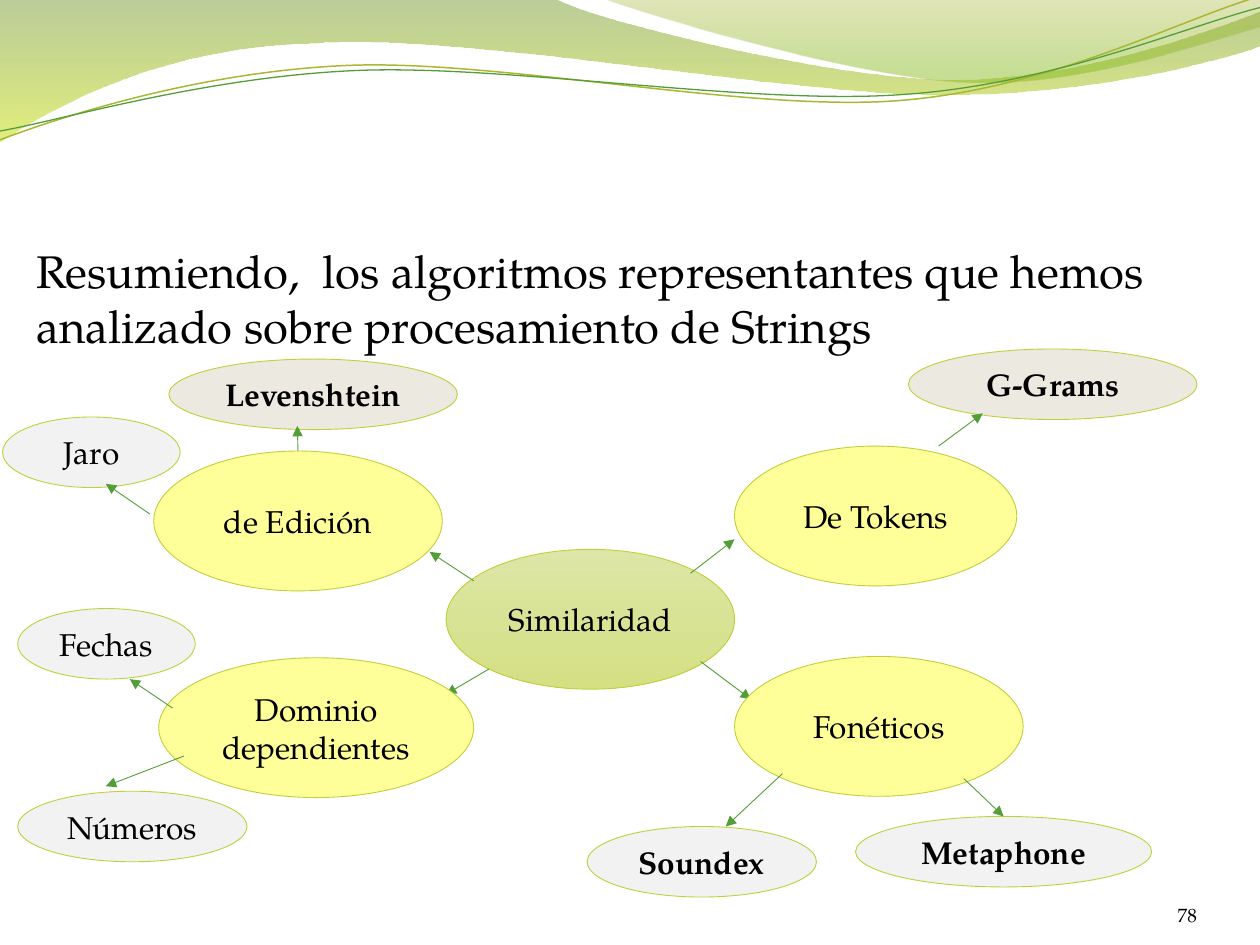
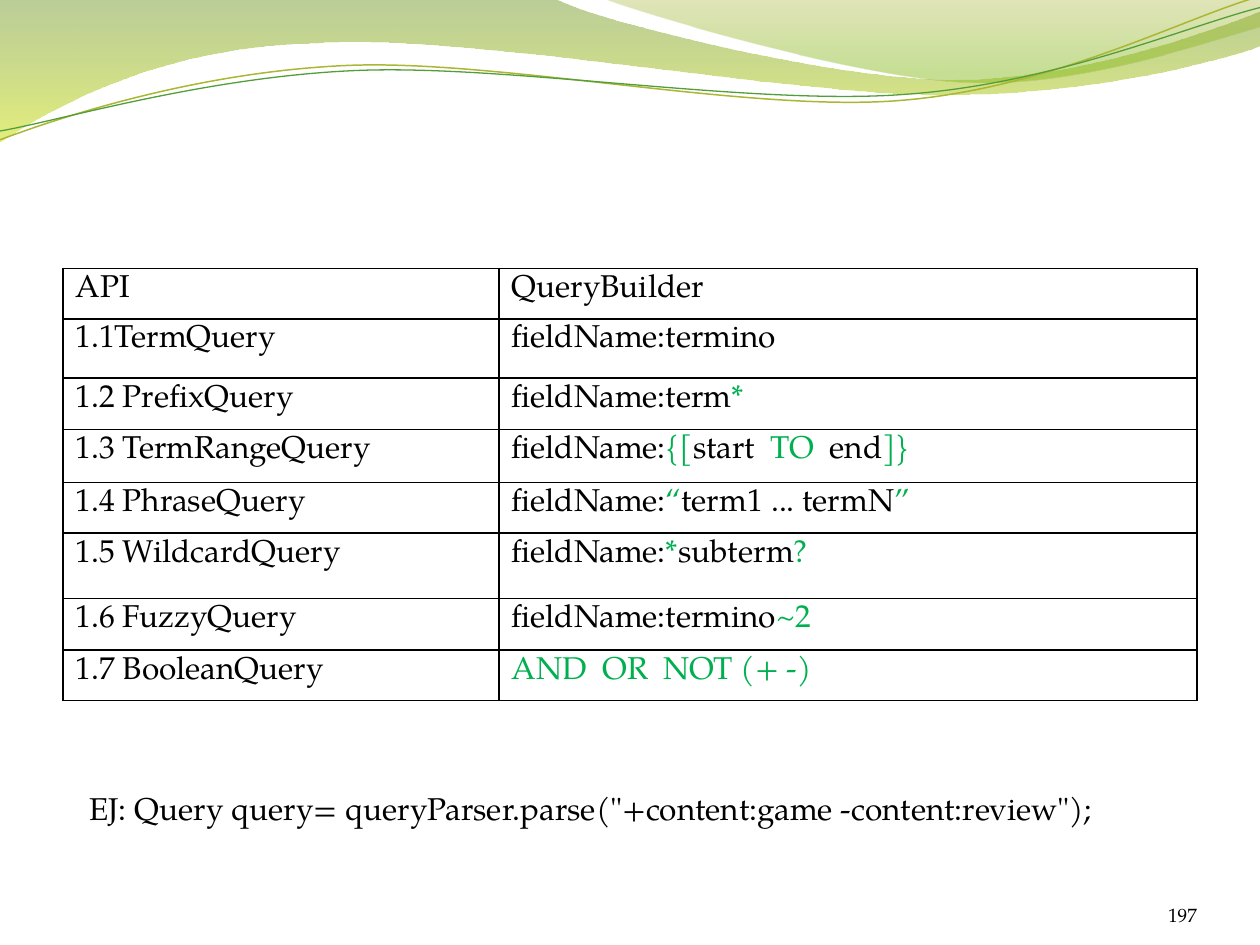
from dataclasses import dataclass
from typing import Optional

from lxml.etree import SubElement
from pptx import Presentation
from pptx.dml.color import RGBColor
from pptx.enum.shapes import MSO_CONNECTOR, MSO_SHAPE
from pptx.enum.text import MSO_ANCHOR, PP_ALIGN
from pptx.oxml.ns import qn
from pptx.util import Inches, Pt

FONT = "TeX Gyre Pagella"
BLACK = "000000"
OPERATOR_GREEN = "00B050"
ARROW_GREEN = "549E39"
OUTLINE = "C0CF3A"
GREY = "F2F2F2"
SAND = "ECE9E0"
YELLOW = "FFFF99"
TOP = 0


@dataclass(frozen=True)
class Stop:
    position: float
    color: str
    opacity: int = 100


@dataclass(frozen=True)
class Wave:
    """Each step holds one point (a line) or three points (a Bezier curve)."""
    start: tuple
    steps: tuple
    stops: tuple = ()
    line: str = ""
    weight: float = 0


@dataclass(frozen=True)
class Node:
    label: str
    left: float
    top: float
    width: float
    height: float
    fill: str
    bold: bool = False


@dataclass(frozen=True)
class Arrow:
    start: tuple
    end: tuple
    from_top_of: Optional[str] = None
    to_top_of: Optional[str] = None


WAVES = (
    Wave((0, 0), (
        (4.4, -0.01), (4.75, 0.17, 6.63, 0.63, 7.58, 0.63),
        (8.53, 0.63, 9.58, 0.26, 10, 0.09), (10.01, 0.36),
        (9.83, 0.44, 8.69, 0.76, 7.46, 0.75),
        (6.22, 0.75, 3.81, 0.28, 2.57, 0.34),
        (1.29, 0.36, 0.46, 0.83, -0.01, 1.13), (0, 0)),
        stops=(Stop(0, "69921C", 45), Stop(1, "CCE10F", 55))),
    Wave((4.79, -0.01), (
        (5.09, 0.11, 6.82, 0.62, 7.68, 0.65),
        (8.55, 0.69, 9.61, 0.32, 10, 0.21), (10, 0), (4.79, -0.01)),
        stops=(Stop(0, "9BAA1A", 30), Stop(0.8, "81BA16", 45))),
    Wave((0, 1.11), (
        (0.48, 0.93, 1.57, 0.57, 2.76, 0.52),
        (3.95, 0.47, 5.92, 0.89, 7.12, 0.8),
        (8.33, 0.71, 9.38, 0.15, 9.97, -0.02)), line="A9B733", weight=0.85),
    Wave((0, 1.04), (
        (0.47, 0.96, 1.63, 0.61, 2.83, 0.56),
        (4.02, 0.51, 5.97, 0.84, 7.17, 0.75),
        (8.36, 0.67, 9.41, 0.21, 10, 0.06)), line=ARROW_GREEN, weight=0.75),
)

CENTER = Node("Similaridad", 3.54, 4.36, 2.29, 1.11, "")
CENTER_STOPS = (Stop(0, "DDE6A6"), Stop(1, "D4E084"))
NODES = (
    Node("de Edición", 1.22, 3.58, 2.29, 1.11, YELLOW),
    Node("De Tokens", 5.83, 3.54, 2.24, 1.11, YELLOW),
    Node("Dominio dependientes", 1.26, 5.22, 2.5, 1.11, YELLOW),
    Node("Fonéticos", 5.83, 5.21, 2.29, 1.11, YELLOW),
    Node("Jaro", 0.02, 3.31, 1.41, 0.56, GREY),
    Node("Levenshtein", 1.34, 2.85, 2.29, 0.56, SAND, True),
    Node("G-Grams", 7.21, 2.77, 2.29, 0.56, SAND, True),
    Node("Fechas", 0.14, 4.83, 1.41, 0.56, GREY),
    Node("Números", 0.14, 6.28, 1.82, 0.56, GREY),
    Node("Soundex", 4.66, 6.56, 1.82, 0.56, GREY, True),
    Node("Metaphone", 6.79, 6.48, 2.35, 0.56, GREY, True),
)
CENTER_ARROWS = (
    Arrow((3.76, 4.61), (3.41, 4.38)),
    Arrow((5.48, 4.55), (5.83, 4.28)),
    Arrow((3.88, 5.31), (3.54, 5.51)),
    Arrow((5.56, 5.25), (5.96, 5.55)),
)
BRANCH_ARROWS = (
    Arrow((1.19, 4.08), (0.84, 3.84)),
    Arrow((2.37, 3.58), (2.36, 3.38), from_top_of="de Edición"),
    Arrow((1.37, 5.62), (1.03, 5.39)),
    Arrow((1.46, 6), (0.84, 6.24)),
    Arrow((6.21, 6.14), (5.76, 6.56)),
    Arrow((7.65, 6.18), (7.97, 6.48), to_top_of="Metaphone"),
    Arrow((7.45, 3.54), (7.8, 3.28)),
)

# Syntax pieces alternate between plain text and green operators.
QUERIES = (
    ("API", ("QueryBuilder",), 0.4),
    ("1.1TermQuery", ("fieldName:termino",), 0.47),
    ("1.2 PrefixQuery", ("fieldName:term", "*"), 0.41),
    ("1.3 TermRangeQuery",
     ("fieldName:", "{[", "start  ", "TO", "  end", "]}"), 0.42),
    ("1.4 PhraseQuery", ("fieldName:", "“", "term1 ... termN", "”"), 0.4),
    ("1.5 WildcardQuery", ("fieldName:", "*", "subterm", "?"), 0.52),
    ("1.6 FuzzyQuery", ("fieldName:termino", "~2"), 0.41),
    ("1.7 BooleanQuery", ("", "AND  OR  NOT (+ -)"), 0.4),
)
COLUMN_WIDTHS = (3.46, 5.54)


def rgb(color: str) -> RGBColor:
    return RGBColor.from_string(color)


def add_span(para, text: str, size: float, color: str = BLACK, bold: bool = False) -> None:
    span = para.add_run()
    span.text = text
    span.font.name = FONT
    span.font.size = Pt(size)
    span.font.bold = bold
    span.font.color.rgb = rgb(color)


def add_text(page, text: str, left: float, top: float, width: float,
             height: float, size: float):
    box = page.shapes.add_textbox(Inches(left), Inches(top), Inches(width), Inches(height))
    box.text_frame.word_wrap = True
    add_span(box.text_frame.paragraphs[0], text, size)
    return box.text_frame


def set_margins(frame, margin: float) -> None:
    frame.margin_left = frame.margin_right = Inches(margin)
    frame.margin_top = frame.margin_bottom = Inches(margin)


def fill_gradient(shape, stops: tuple) -> None:
    """Fill from top to bottom with two stops."""
    shape.fill.gradient()
    shape.fill.gradient_angle = 270
    for gradient_stop, stop in zip(shape.fill.gradient_stops, stops):
        gradient_stop.position = stop.position
        gradient_stop.color.rgb = rgb(stop.color)
    colors = shape._element.spPr.iter(qn("a:srgbClr"))
    for color, stop in zip(list(colors), stops):
        if stop.opacity < 100:
            SubElement(color, qn("a:alpha"), val=str(stop.opacity * 1000))


def bend_curves(shape, steps: tuple) -> None:
    """Turn the three line segments of each curved step into one Bezier curve."""
    segments = iter(list(shape._element.spPr.iter(qn("a:lnTo"))))
    for step in steps:
        first = next(segments)
        if len(step) == 2:
            continue
        first.tag = qn("a:cubicBezTo")
        for _ in range(2):
            segment = next(segments)
            segment.getparent().remove(segment)
            first.append(segment[0])


def add_wave(page, wave: Wave) -> None:
    points = [(Inches(x), Inches(y)) for step in wave.steps
              for x, y in zip(step[::2], step[1::2])]
    builder = page.shapes.build_freeform(*[Inches(value) for value in wave.start])
    builder.add_line_segments(points, close=bool(wave.stops))
    shape = builder.convert_to_shape()
    bend_curves(shape, wave.steps)
    shape.shadow.inherit = False
    if wave.stops:
        fill_gradient(shape, wave.stops)
        shape.line.fill.background()
    else:
        shape.fill.background()
        shape.line.color.rgb = rgb(wave.line)
        shape.line.width = Pt(wave.weight)


def add_page(deck, number: int):
    page = deck.slides.add_slide(deck.slide_layouts[6])
    for wave in WAVES:
        add_wave(page, wave)
    frame = add_text(page, str(number), 8.67, 6.95, 0.83, 0.4, 11)
    set_margins(frame, 0)
    frame.vertical_anchor = MSO_ANCHOR.BOTTOM
    frame.paragraphs[0].alignment = PP_ALIGN.RIGHT
    return page


def add_node(page, node: Node, stops: tuple = ()):
    shape = page.shapes.add_shape(MSO_SHAPE.OVAL, Inches(node.left), Inches(node.top),
                                  Inches(node.width), Inches(node.height))
    shape.shadow.inherit = False
    if stops:
        fill_gradient(shape, stops)
    else:
        shape.fill.solid()
        shape.fill.fore_color.rgb = rgb(node.fill)
    shape.line.color.rgb = rgb(OUTLINE)
    shape.line.width = Pt(0.5)
    frame = shape.text_frame
    frame.word_wrap = True
    frame.vertical_anchor = MSO_ANCHOR.MIDDLE
    frame.paragraphs[0].alignment = PP_ALIGN.CENTER
    add_span(frame.paragraphs[0], node.label, 18, bold=node.bold)
    return shape


def add_arrow(page, arrow: Arrow, ovals: dict) -> None:
    ends = [Inches(value) for value in arrow.start + arrow.end]
    connector = page.shapes.add_connector(MSO_CONNECTOR.STRAIGHT, *ends)
    if arrow.from_top_of:
        connector.begin_connect(ovals[arrow.from_top_of], TOP)
    if arrow.to_top_of:
        connector.end_connect(ovals[arrow.to_top_of], TOP)
    connector.line.color.rgb = rgb(ARROW_GREEN)
    connector.line.width = Pt(0.5)
    properties = connector._element.spPr
    SubElement(properties.find(qn("a:ln")), qn("a:tailEnd"), type="triangle")
    SubElement(properties, qn("a:effectLst"))


def add_similarity_page(deck) -> None:
    page = add_page(deck, 78)
    add_text(page, "Resumiendo,  los algoritmos representantes que hemos analizado "
             "sobre procesamiento de Strings", 0.19, 1.88, 9, 4.8, 26)
    add_node(page, CENTER, CENTER_STOPS)
    for arrow in CENTER_ARROWS:
        add_arrow(page, arrow, {})
    ovals = {node.label: add_node(page, node) for node in NODES}
    for arrow in BRANCH_ARROWS:
        add_arrow(page, arrow, ovals)


def add_cell_borders(cell) -> None:
    properties = cell._tc.get_or_add_tcPr()
    for index, side in enumerate(("a:lnL", "a:lnR", "a:lnT", "a:lnB")):
        border = properties.makeelement(qn(side), {"w": str(Pt(1))})
        SubElement(SubElement(border, qn("a:solidFill")), qn("a:srgbClr"), val=BLACK)
        properties.insert(index, border)


def fill_cell(cell, pieces: tuple) -> None:
    cell.fill.background()
    add_cell_borders(cell)
    for index, piece in enumerate(pieces):
        if piece:
            add_span(cell.text_frame.paragraphs[0], piece, 18,
                     OPERATOR_GREEN if index % 2 else BLACK)


def add_query_page(deck) -> None:
    page = add_page(deck, 197)
    height = sum(row_height for _, _, row_height in QUERIES)
    table = page.shapes.add_table(len(QUERIES), 2, Inches(0.5), Inches(2.13),
                                  Inches(sum(COLUMN_WIDTHS)), Inches(height)).table
    table.first_row = table.horz_banding = False
    for column, width in zip(table.columns, COLUMN_WIDTHS):
        column.width = Inches(width)
    for index, (name, syntax, row_height) in enumerate(QUERIES):
        table.rows[index].height = Inches(row_height)
        fill_cell(table.cell(index, 0), (name,))
        fill_cell(table.cell(index, 1), syntax)
    example = add_text(page, 'EJ: Query query= queryParser.parse("+content:game '
                       '-content:review");', 0.61, 6.16, 8.79, 0.5, 18)
    set_margins(example, 0.1)


def main() -> None:
    deck = Presentation()
    deck.slide_width, deck.slide_height = Inches(10), Inches(7.5)
    add_similarity_page(deck)
    add_query_page(deck)
    deck.save("out.pptx")


if __name__ == "__main__":
    main()
